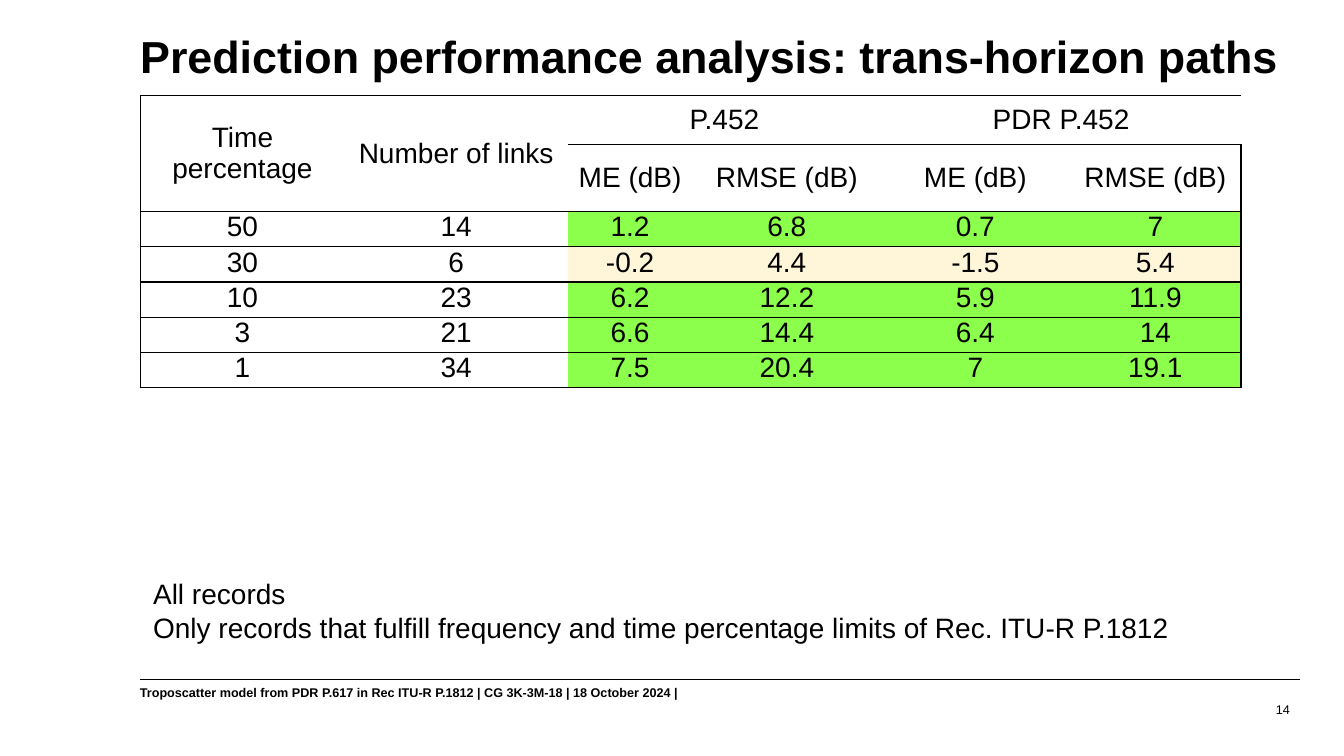
from lxml.etree import SubElement
from pptx import Presentation
from pptx.dml.color import RGBColor
from pptx.enum.shapes import MSO_CONNECTOR as Connector
from pptx.enum.text import MSO_ANCHOR as Anchor, MSO_AUTO_SIZE as AutoSize, PP_ALIGN as Align
from pptx.oxml.ns import qn
from pptx.util import Inches, Pt

COLOURS = {"ink": "000000", "paper": "FFFFFF", "green": "8BFF4B", "cream": "FFEBAB"}
FONT = "Arial"

COLUMN_WIDTHS = [2.03, 2.21, 1.24, 1.87, 1.87, 1.7]
ROW_HEIGHTS = [0.48, 0.62] + [0.35] * 5
HEADERS = [
    ["Time percentage", "Number of links", "P.452", "", "PDR P.452", ""],
    ["", "", "ME (dB)", "RMSE (dB)", "ME (dB)", "RMSE (dB)"],
]
RESULTS = [
    ["50", "14", "1.2", "6.8", "0.7", "7"],
    ["30", "6", "-0.2", "4.4", "-1.5", "5.4"],
    ["10", "23", "6.2", "12.2", "5.9", "11.9"],
    ["3", "21", "6.6", "14.4", "6.4", "14"],
    ["1", "34", "7.5", "20.4", "7", "19.1"],
]
MERGES = [((0, 0), (1, 0)), ((0, 1), (1, 1)), ((0, 2), (0, 3)), ((0, 4), (0, 5))]


class SlideBuilder:
    """Adds styled elements to one slide."""

    def __init__(self, page):
        """Keep the slide to build on."""
        self.page = page

    def colour(self, name):
        """Return the named colour."""
        return RGBColor.from_string(COLOURS[name])

    def format_text(self, frame, size, bold=False, align=Align.LEFT, spacing=None, gap=0):
        """Format every paragraph and run of a text frame."""
        for para in frame.paragraphs:
            para.alignment = align
            para.line_spacing = spacing
            para.space_before = para.space_after = Pt(gap)
            for span in para.runs:
                span.font.name = FONT
                span.font.size = Pt(size)
                span.font.bold = bold
                span.font.color.rgb = self.colour("ink")

    def title(self, text, left, top, width, height):
        """Place and fill the title placeholder."""
        box = self.page.shapes.title
        box.left, box.top = Inches(left), Inches(top)
        box.width, box.height = Inches(width), Inches(height)
        frame = box.text_frame
        frame.text = text
        frame.vertical_anchor = Anchor.TOP
        frame.auto_size = AutoSize.NONE
        self.format_text(frame, 32, bold=True, spacing=0.9)

    def text(self, text, left, top, width, height, size, anchor=Anchor.TOP, **style):
        """Add a text box."""
        box = self.page.shapes.add_textbox(
            Inches(left), Inches(top), Inches(width), Inches(height))
        frame = box.text_frame
        frame.text = text
        frame.word_wrap = True
        frame.vertical_anchor = anchor
        self.format_text(frame, size, **style)

    def rule(self, left, right, top):
        """Add a thin horizontal line."""
        line = self.page.shapes.add_connector(
            Connector.STRAIGHT, Inches(left), Inches(top), Inches(right), Inches(top))
        line.line.color.rgb = self.colour("ink")
        line.line.width = Pt(0.5)
        SubElement(line._element.spPr, qn("a:effectLst"))

    def borders(self, cell, visible):
        """Draw the visible sides of a cell and clear the others."""
        properties = cell._tc.get_or_add_tcPr()
        for side in "LRTB":
            edge = SubElement(properties, qn(f"a:ln{side}"), w=str(Pt(1)))
            if side in visible:
                fill = SubElement(edge, qn("a:solidFill"))
                SubElement(fill, qn("a:srgbClr"), val=COLOURS["ink"])
            else:
                SubElement(edge, qn("a:noFill"))

    def fill(self, cell, name, opacity=100):
        """Fill a cell, optionally see-through."""
        cell.fill.solid()
        cell.fill.fore_color.rgb = self.colour(name)
        if opacity < 100:
            tint = cell._tc.tcPr.find(f"{qn('a:solidFill')}/{qn('a:srgbClr')}")
            SubElement(tint, qn("a:alpha"), val=str(opacity * 1000))

    def table(self, left, top):
        """Add the table of prediction errors."""
        rows = HEADERS + RESULTS
        grid = self.page.shapes.add_table(
            len(rows), len(COLUMN_WIDTHS), Inches(left), Inches(top),
            Inches(sum(COLUMN_WIDTHS)), Inches(sum(ROW_HEIGHTS))).table
        grid.first_row = grid.horz_banding = False
        for column, width in zip(grid.columns, COLUMN_WIDTHS):
            column.width = Inches(width)
        for row, height in zip(grid.rows, ROW_HEIGHTS):
            row.height = Inches(height)
        for first, last in MERGES:
            grid.cell(*first).merge(grid.cell(*last))
        last_column = len(COLUMN_WIDTHS) - 1
        for row_index, row in enumerate(rows):
            is_header = row_index < len(HEADERS)
            for column_index, text in enumerate(row):
                cell = grid.cell(row_index, column_index)
                cell.text = text
                cell.margin_left = cell.margin_right = Inches(0.07)
                cell.margin_top = cell.margin_bottom = 0
                cell.vertical_anchor = Anchor.MIDDLE if is_header else Anchor.TOP
                self.format_text(cell.text_frame, 20, align=Align.CENTER,
                                 gap=4 if is_header else 2)
                sides = {0: "LTB", last_column: "RTB"}.get(column_index, "TB")
                self.borders(cell, sides)
                if is_header or column_index < 2:
                    self.fill(cell, "paper")
                elif row[0] == "30":
                    self.fill(cell, "cream", opacity=46)
                else:
                    self.fill(cell, "green")


def main():
    """Build and save the slide."""
    deck = Presentation()
    deck.slide_width, deck.slide_height = Inches(13.33), Inches(7.5)
    builder = SlideBuilder(deck.slides.add_slide(deck.slide_layouts[5]))
    builder.rule(1.39, 12.89, 6.74)
    builder.text("Troposcatter model from PDR P.617 in Rec ITU-R P.1812 | CG 3K-3M-18 | "
                 "18 October 2024 |", 1.29, 6.75, 7.53, 0.25, 9, bold=True)
    builder.title("Prediction performance analysis: trans-horizon paths",
                  1.29, 0.29, 11.6, 0.96)
    builder.text("14", 9.97, 6.76, 2.92, 0.4, 9, anchor=Anchor.BOTTOM, align=Align.RIGHT)
    builder.text("All records\nOnly records that fulfill frequency and time percentage "
                 "limits of Rec. ITU-R P.1812", 1.42, 5.67, 10.43, 0.77, 20)
    builder.table(1.39, 0.95)
    deck.save("out.pptx")


if __name__ == "__main__":
    main()
